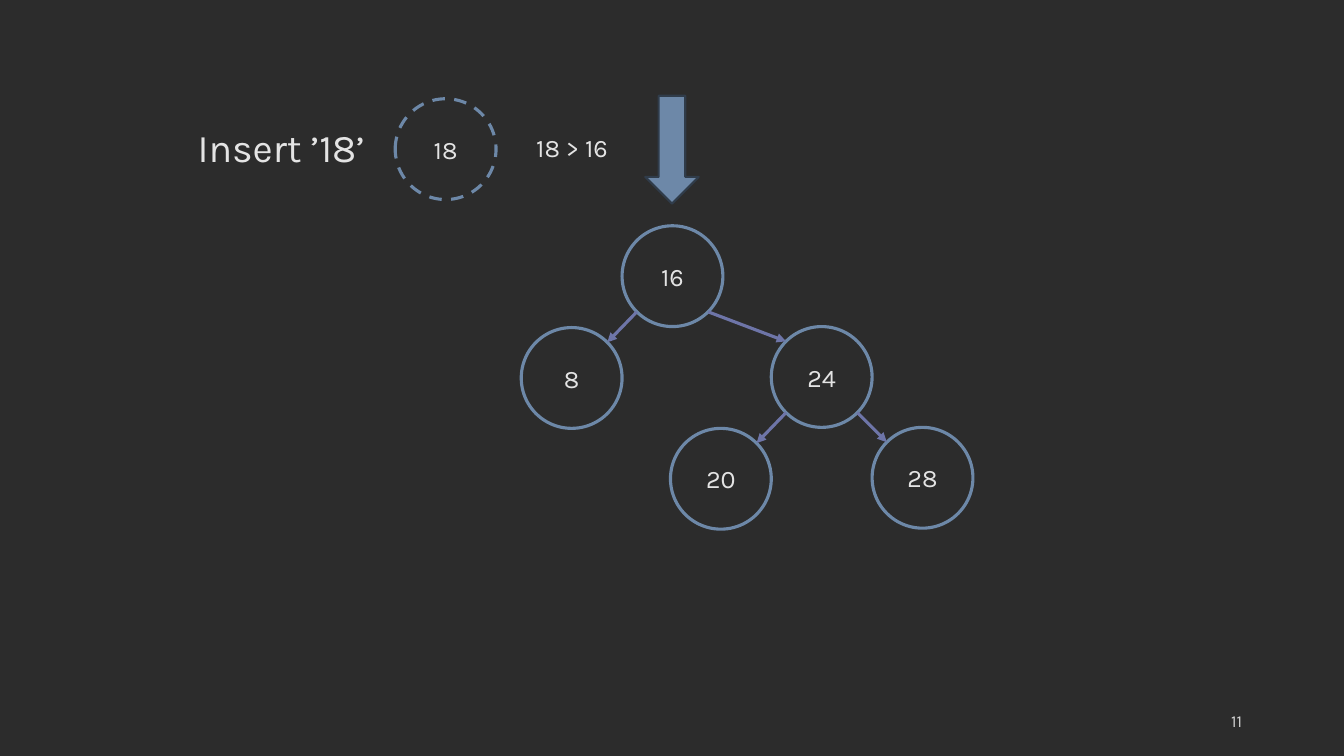
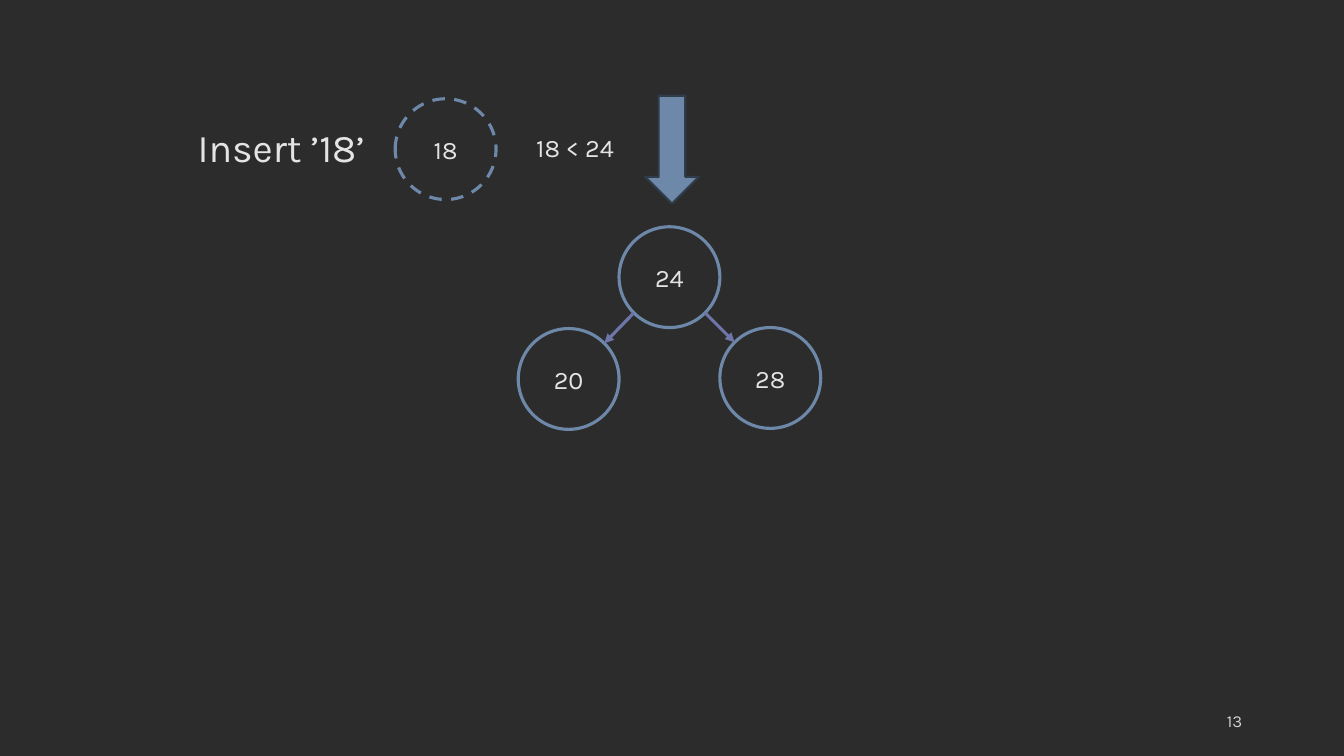
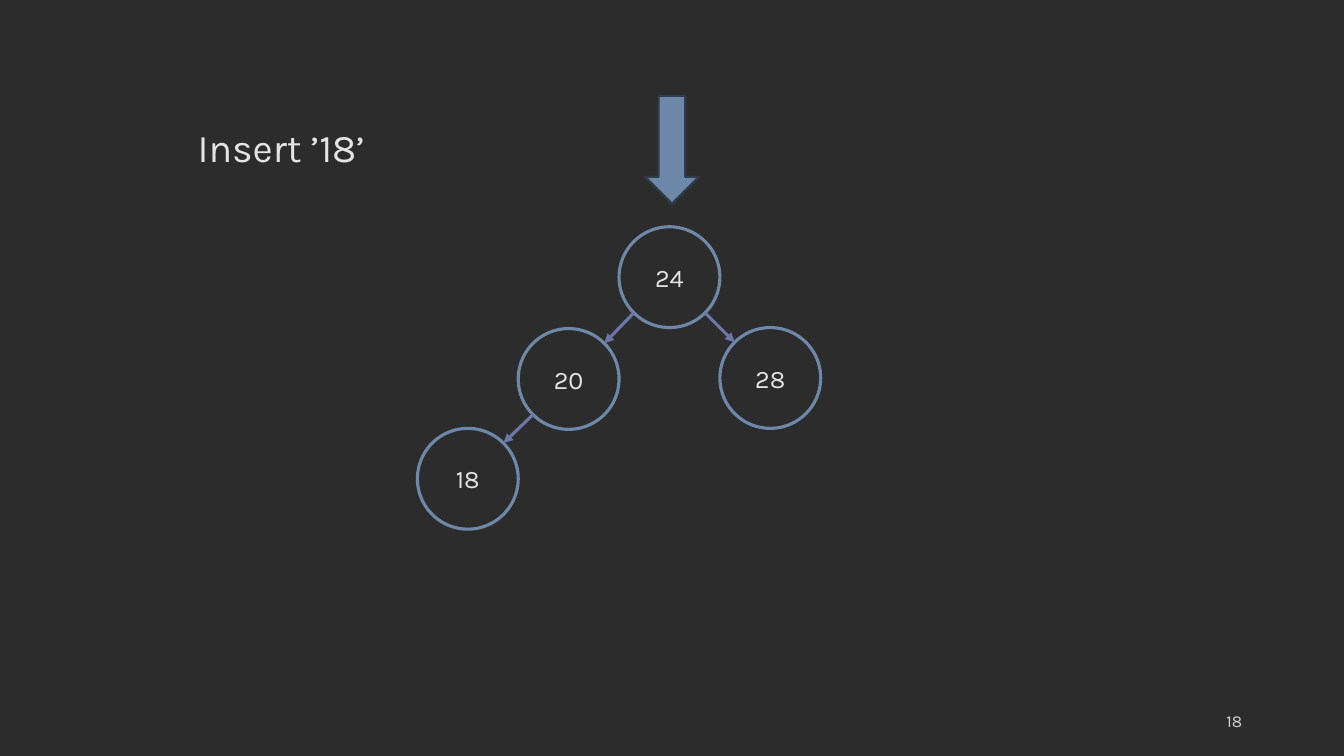
from math import sqrt

from lxml.etree import SubElement
from pptx import Presentation
from pptx.dml.color import RGBColor
from pptx.enum.dml import MSO_LINE
from pptx.enum.shapes import MSO_CONNECTOR, MSO_SHAPE
from pptx.enum.text import MSO_ANCHOR as Anchor, MSO_AUTO_SIZE as AutoSize, PP_ALIGN as Align
from pptx.oxml.ns import qn
from pptx.util import Inches, Pt

# Shared look
BACKGROUND = RGBColor(0x2C, 0x2C, 0x2C)
TEXT = RGBColor(0xE4, 0xE4, 0xE4)
NUMBER = RGBColor(0xD1, 0xD1, 0xD1)
STEEL = RGBColor(0x6D, 0x88, 0xA8)
STEEL_DARK = RGBColor(0x30, 0x3C, 0x4A)
EDGE = RGBColor(0x6E, 0x75, 0xA8)
FONT = "Karla"
NODE = 1.0                        # node diameter, also one grid column or row
DIAGONAL = NODE / 2 / sqrt(2)     # node centre to its 45-degree point

# Each tree: value -> (column, row, parent), counted from the root node
SUBTREE = {"24": (0, 0, None), "20": (-1, 1.01, "24"), "28": (1, 1, "24")}
STEPS = [
    {"number": "11", "comparison": "18 > 16", "root": (6.17, 2.24),
     "tree": {"16": (0, 0, None), "24": (1.48, 1, "16"), "8": (-1, 1.01, "16"),
              "20": (0.48, 2.01, "24"), "28": (2.48, 2, "24")}},
    {"number": "13", "comparison": "18 < 24", "root": (6.14, 2.25), "tree": SUBTREE},
    {"number": "18", "comparison": None, "root": (6.14, 2.25),
     "tree": SUBTREE | {"18": (-2, 2, "20")}},
]


def write(shape, text, size, color=TEXT, align=Align.LEFT, anchor=Anchor.TOP, wrap=True):
    frame = shape.text_frame
    frame.auto_size = AutoSize.NONE if wrap else AutoSize.SHAPE_TO_FIT_TEXT
    frame.word_wrap = wrap
    frame.vertical_anchor = anchor
    paragraph = frame.paragraphs[0]
    paragraph.alignment = align
    run = paragraph.add_run()
    run.text = text
    run.font.name = FONT
    run.font.size = Pt(size)
    run.font.color.rgb = color


def add_node(slide, left, top, value, dashed=False):
    node = slide.shapes.add_shape(MSO_SHAPE.OVAL, Inches(left), Inches(top),
                                  Inches(NODE), Inches(NODE))
    node.shadow.inherit = False
    node.fill.background()
    node.line.color.rgb = STEEL
    node.line.width = Pt(2.25)
    if dashed:
        node.line.dash_style = MSO_LINE.DASH
    frame = node.text_frame
    frame.margin_left = frame.margin_right = frame.margin_top = frame.margin_bottom = 0
    write(node, value, 18, align=Align.CENTER, anchor=Anchor.MIDDLE)


presentation = Presentation()
presentation.slide_width = Inches(13.33)
presentation.slide_height = Inches(7.5)
master_fill = presentation.slide_master.background.fill
master_fill.solid()
master_fill.fore_color.rgb = BACKGROUND
title_only = presentation.slide_layouts[5]

for step in STEPS:
    slide = presentation.slides.add_slide(title_only)
    shapes = slide.shapes

    # Title
    title = shapes.title
    title.left, title.top, title.width, title.height = map(Inches, (1.86, 1.17, 1.89, 0.57))
    write(title, "Insert ’18’", 28, wrap=False)

    # Slide number
    number = shapes.add_textbox(Inches(9.42), Inches(6.95), Inches(3), Inches(0.4))
    write(number, step["number"], 12, NUMBER, Align.RIGHT, Anchor.MIDDLE)

    # Tree nodes
    root_left, root_top = step["root"]
    centres = {}
    for value, (column, row, parent) in step["tree"].items():
        left, top = root_left + column * NODE, root_top + row * NODE
        centres[value] = left + NODE / 2, top + NODE / 2
        add_node(slide, left, top, value)

    # Edges from each parent to its children
    for value, (column, row, parent) in step["tree"].items():
        if parent is None:
            continue
        (parent_x, parent_y), (child_x, child_y) = centres[parent], centres[value]
        reach = DIAGONAL if child_x > parent_x else -DIAGONAL
        edge = shapes.add_connector(
            MSO_CONNECTOR.STRAIGHT,
            Inches(parent_x + reach), Inches(parent_y + DIAGONAL),
            Inches(child_x - reach), Inches(child_y - DIAGONAL))
        edge.line.color.rgb = EDGE
        edge.line.width = Pt(2.25)
        SubElement(edge.line._get_or_add_ln(), qn("a:tailEnd"), type="triangle")
        SubElement(edge._element.spPr, qn("a:effectLst"))

    # Arrow to the current root
    arrow = shapes.add_shape(MSO_SHAPE.DOWN_ARROW, Inches(6.4), Inches(0.95),
                             Inches(0.53), Inches(1.07))
    arrow.shadow.inherit = False
    arrow.fill.solid()
    arrow.fill.fore_color.rgb = STEEL
    arrow.line.color.rgb = STEEL_DARK
    arrow.line.width = Pt(1.5)

    # Value waiting to be placed, and its comparison with the root
    if step["comparison"]:
        add_node(slide, 3.92, 0.98, "18", dashed=True)
        comparison = shapes.add_textbox(Inches(5.22), Inches(1.26), Inches(0.98), Inches(0.4))
        write(comparison, step["comparison"], 18, wrap=False)

presentation.save("out.pptx")
